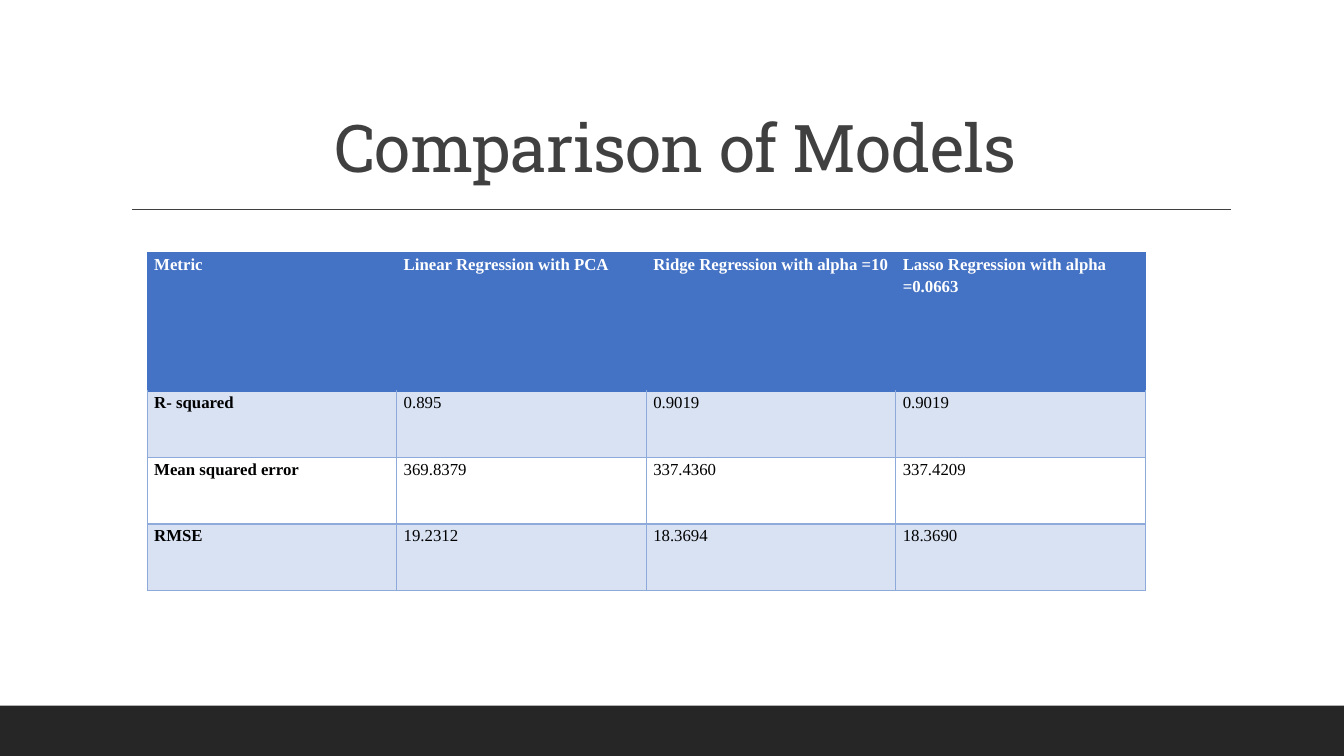
from lxml.etree import SubElement
from pptx import Presentation
from pptx.dml.color import RGBColor
from pptx.enum.shapes import MSO_CONNECTOR, MSO_SHAPE
from pptx.enum.text import MSO_ANCHOR, PP_ALIGN
from pptx.oxml.ns import qn
from pptx.util import Inches, Pt

DARK, GREY, WHITE, BLACK = "262626", "404040", "FFFFFF", "000000"
BLUE, PALE, EDGE = "4472C4", "D9E2F3", "8EAADB"


def color(code):
    return RGBColor.from_string(code)


class Deck:
    head = "Roboto Slab"
    body = "Times New Roman"

    def __init__(self, slide):
        self.slide = slide

    def place(self, shape, left, top, width, height):
        shape.left, shape.top = Inches(left), Inches(top)
        shape.width, shape.height = Inches(width), Inches(height)

    def style(self, para, face, size, code, bold=False):
        for run in para.runs:
            font = run.font
            font.name, font.size, font.bold = face, Pt(size), bold
            font.color.rgb = color(code)

    def title(self, text, *box):
        shape = self.slide.shapes.title
        self.place(shape, *box)
        frame = shape.text_frame
        frame.text = text
        frame.word_wrap = True
        frame.vertical_anchor = MSO_ANCHOR.BOTTOM
        para = frame.paragraphs[0]
        para.alignment, para.line_spacing = PP_ALIGN.CENTER, 0.9
        self.style(para, self.head, 47, GREY)
        para.runs[0].font._element.set("spc", "-50")

    def bar(self, code, *box):
        shape = self.slide.shapes.add_shape(MSO_SHAPE.RECTANGLE, *map(Inches, box))
        shape.shadow.inherit = False
        shape.fill.solid()
        shape.fill.fore_color.rgb = color(code)
        shape.line.fill.background()

    def rule(self, code, *ends):
        line = self.slide.shapes.add_connector(MSO_CONNECTOR.STRAIGHT, *map(Inches, ends))
        line.line.color.rgb = color(code)
        line.line.width = Pt(1)
        SubElement(line._element.spPr, qn("a:effectLst"))

    def edge(self, cell, side, code):
        props = cell._tc.get_or_add_tcPr()
        line = SubElement(props, qn("a:ln" + side), w=str(Pt(1)))
        fill = SubElement(line, qn("a:solidFill"))
        SubElement(fill, qn("a:srgbClr"), val=code)

    def cell(self, cell, text, row, col):
        top = row == 0
        # Borders go ahead of the fill
        for side in "LRTB":
            blue = top or (row == 1 and side == "T")
            self.edge(cell, side, BLUE if blue else EDGE)
        cell.fill.solid()
        cell.fill.fore_color.rgb = color(BLUE if top else PALE if row % 2 else WHITE)
        cell.margin_left = cell.margin_right = Inches(0.07)
        cell.margin_top = cell.margin_bottom = 0
        cell.text_frame.text = text
        para = cell.text_frame.paragraphs[0]
        para.line_spacing, para.space_after = 1.15, Pt(8)
        self.style(para, self.body, 12, WHITE if top else BLACK, top or col == 0)

    def table(self, data, highs, *box):
        shape = self.slide.shapes.add_table(len(data), len(data[0]), *map(Inches, box))
        grid = shape.table
        for row, high in zip(grid.rows, highs):
            row.height = Inches(high)
        for r, line in enumerate(data):
            for c, text in enumerate(line):
                self.cell(grid.cell(r, c), text, r, c)


def main():
    show = Presentation()
    show.slide_width, show.slide_height = Inches(13.33), Inches(7.5)
    deck = Deck(show.slides.add_slide(show.slide_layouts[5]))

    # Footer band and title
    deck.bar(DARK, 0, 7, 13.33, 0.5)
    deck.rule(GREY, 1.31, 2.08, 12.21, 2.08)
    deck.title("Comparison of Models", 1.2, 0.31, 11, 1.59)

    # Model scores
    scores = [
        ["Metric", "Linear Regression with PCA",
         "Ridge Regression with alpha =10", "Lasso Regression with alpha =0.0663"],
        ["R- squared", "0.895", "0.9019", "0.9019"],
        ["Mean squared error", "369.8379", "337.4360", "337.4209"],
        ["RMSE", "19.2312", "18.3694", "18.3690"],
    ]
    deck.table(scores, [1.37] + [0.66] * 3, 1.46, 2.51, 9.9, 3.36)

    show.save("out.pptx")


if __name__ == "__main__":
    main()
